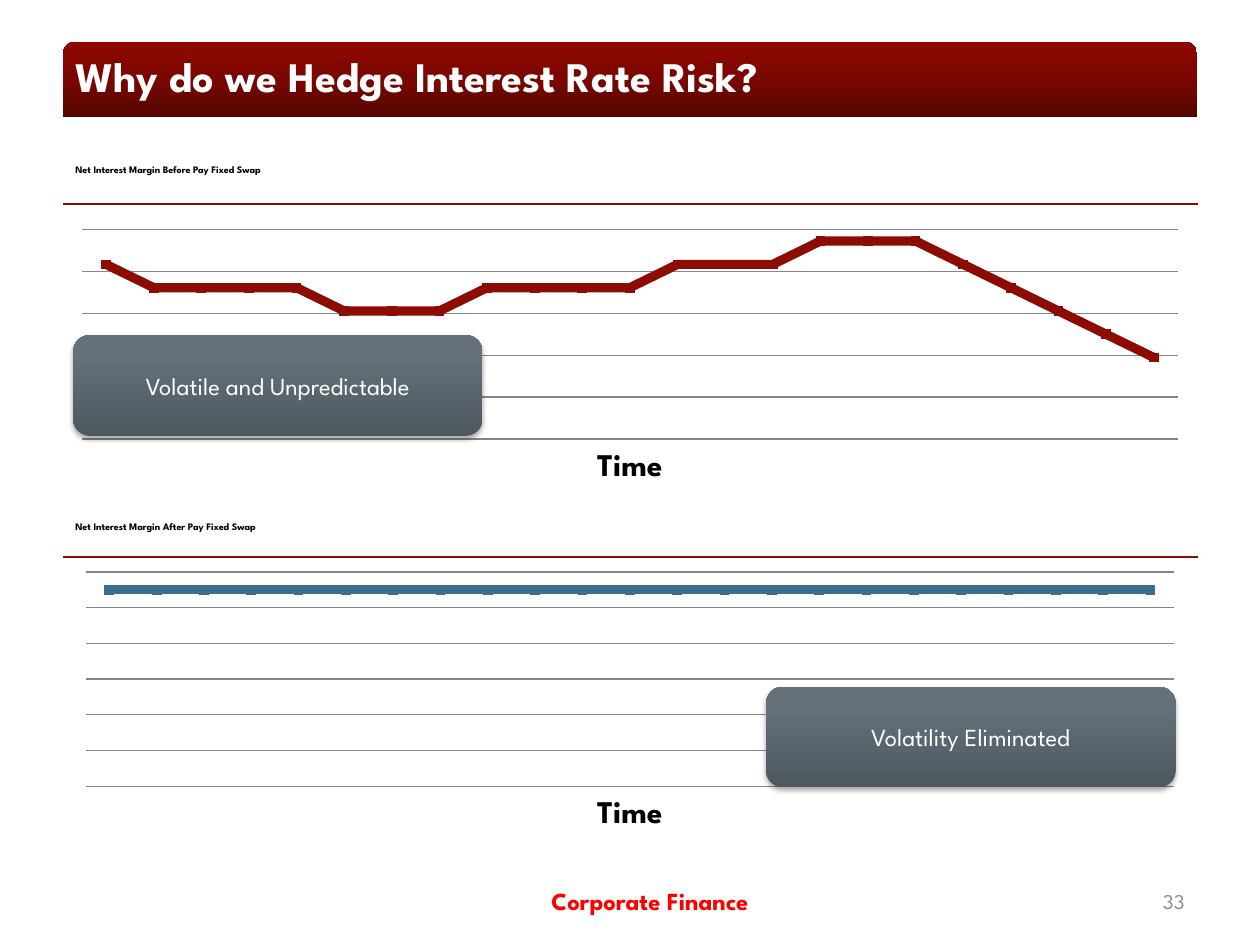
from copy import deepcopy

from pptx import Presentation
from pptx.chart.data import CategoryChartData
from pptx.dml.color import RGBColor
from pptx.enum.chart import XL_CHART_TYPE, XL_MARKER_STYLE
from pptx.enum.shapes import MSO_CONNECTOR, MSO_SHAPE
from pptx.enum.text import MSO_ANCHOR, PP_ALIGN
from pptx.oxml import parse_xml
from pptx.oxml.ns import nsdecls, qn
from pptx.oxml.xmlchemy import OxmlElement
from pptx.util import Inches, Pt

LINE_MARKERS = XL_CHART_TYPE.LINE_MARKERS
SQUARE = XL_MARKER_STYLE.SQUARE
STRAIGHT = MSO_CONNECTOR.STRAIGHT
ROUNDED = MSO_SHAPE.ROUNDED_RECTANGLE
ROUNDED_TOP = MSO_SHAPE.ROUND_2_SAME_RECTANGLE
TOP, MIDDLE = MSO_ANCHOR.TOP, MSO_ANCHOR.MIDDLE
LEFT, CENTER, RIGHT = PP_ALIGN.LEFT, PP_ALIGN.CENTER, PP_ALIGN.RIGHT

FONT = "League Spartan"
BLACK = RGBColor(0x00, 0x00, 0x00)
WHITE = RGBColor(0xFF, 0xFF, 0xFF)
RED = RGBColor(0xFF, 0x00, 0x00)
GRAY = RGBColor(0x8C, 0x8C, 0x8C)
GRID_GRAY = RGBColor(0x86, 0x86, 0x86)
MAROON = RGBColor(0x8C, 0x0C, 0x04)
BLUE = RGBColor(0x3B, 0x6E, 0x8F)
BAND_STOPS = [
    (0, RGBColor(0x55, 0x05, 0x00)),
    (0.5, RGBColor(0x79, 0x07, 0x00)),
    (1, RGBColor(0x90, 0x08, 0x00)),
]
CALLOUT_STOPS = [
    (0, RGBColor(0x4D, 0x57, 0x5E)),
    (0.8, RGBColor(0x64, 0x71, 0x7A)),
    (1, RGBColor(0x64, 0x71, 0x7B)),
]

PERCENT_FORMAT = '0.00%_);\\(0.00%\\);"–"_)'
MARGIN_BEFORE = [
    99, 98, 98, 98, 98, 97, 97, 97, 98, 98, 98, 98,
    99, 99, 99, 100, 100, 100, 99, 98, 97, 96, 95,
]
MARGIN_AFTER = [100] * len(MARGIN_BEFORE)


def write_text(frame, text, size, color, align, anchor, bold=False):
    frame.word_wrap = True
    frame.vertical_anchor = anchor
    para = frame.paragraphs[0]
    para.alignment = align
    span = para.add_run()
    span.text = text
    span.font.name = FONT
    span.font.size = Pt(size)
    span.font.bold = bold
    span.font.color.rgb = color


def add_label(page, box, *style, bold=False):
    label = page.shapes.add_textbox(*map(Inches, box))
    write_text(label.text_frame, *style, bold=bold)


def add_gradient_shape(page, kind, box, stops):
    shape = page.shapes.add_shape(kind, *map(Inches, box))
    shape.shadow.inherit = False
    shape.line.fill.background()
    shape.fill.gradient()
    shape.fill.gradient_angle = 90
    stop_list = shape._element.spPr.find(qn("a:gradFill")).find(qn("a:gsLst"))
    stop_list.insert(1, deepcopy(stop_list[0]))
    for stop, (position, color) in zip(shape.fill.gradient_stops, stops):
        stop.position = position
        stop.color.rgb = color
    return shape


def add_header(page, box):
    left, top, width, height = box
    add_gradient_shape(page, ROUNDED_TOP, (left, top + 0.03, width, height), BAND_STOPS)
    add_label(page, box, "Why do we Hedge Interest Rate Risk?", 24, WHITE, LEFT, MIDDLE, bold=True)


def add_footer(page, box):
    left, top, width, height = box
    add_label(page, (left + 2.16, top, 5, height), "Corporate Finance", 14, RED, CENTER, MIDDLE, bold=True)
    add_label(page, (left + width - 2.33, top, 2.33, height), "33", 12, GRAY, RIGHT, MIDDLE)


def add_callout(page, box, text):
    callout = add_gradient_shape(page, ROUNDED, box, CALLOUT_STOPS)
    callout._element.spPr.find(qn("a:effectLst")).append(parse_xml(
        f'<a:outerShdw {nsdecls("a")} blurRad="{Pt(3.1)}" dist="{Pt(1.8)}" dir="5400000" rotWithShape="0">'
        '<a:srgbClr val="000000"><a:alpha val="35000"/></a:srgbClr></a:outerShdw>'
    ))
    write_text(callout.text_frame, text, 14, WHITE, CENTER, MIDDLE)


def add_heading(page, box, text, rule_top):
    add_label(page, box, text, 5.7, BLACK, LEFT, TOP, bold=True)
    left, width = box[0], box[2]
    rule = page.shapes.add_connector(
        STRAIGHT, Inches(left), Inches(rule_top), Inches(left + width), Inches(rule_top)
    )
    rule.line.color.rgb = MAROON
    rule.line.width = Pt(1.5)
    rule._element.spPr.append(OxmlElement("a:effectLst"))


def set_plot_layout(plot_area, plot_box):
    layout = plot_area.find(qn("c:layout"))
    if layout is None:
        layout = OxmlElement("c:layout")
        plot_area.insert(0, layout)
    manual = OxmlElement("c:manualLayout")
    layout.append(manual)
    settings = [("layoutTarget", "inner"), ("xMode", "edge"), ("yMode", "edge")]
    for name, value in settings + list(zip("xywh", plot_box)):
        item = OxmlElement(f"c:{name}")
        item.set("val", str(value))
        manual.append(item)


def add_margin_chart(page, box, values, color, scale, plot_box):
    data = CategoryChartData()
    data.categories = [str(period) for period in range(1, len(values) + 1)]
    data.add_series("Series 1", values)
    chart = page.shapes.add_chart(LINE_MARKERS, *map(Inches, box), data).chart
    chart.has_legend = False
    chart.has_title = False
    chart.font.name = FONT
    chart.font.size = Pt(18)
    chart.font.color.rgb = BLACK

    value_axis = chart.value_axis
    value_axis.minimum_scale, value_axis.maximum_scale, value_axis.major_unit = scale
    value_axis.tick_labels.number_format = PERCENT_FORMAT
    value_axis.tick_labels.number_format_is_linked = False
    value_axis.major_gridlines.format.line.color.rgb = GRID_GRAY
    value_axis.major_gridlines.format.line.width = Pt(0.75)
    value_axis.visible = False

    time_axis = chart.category_axis
    write_text(time_axis.axis_title.text_frame, "Time", 18, BLACK, CENTER, MIDDLE, bold=True)
    time_axis.visible = False

    set_plot_layout(chart._chartSpace.chart.plotArea, plot_box)
    plot = chart.plots[0]
    plot.vary_by_categories = False
    series = plot.series[0]
    series.smooth = False
    series.format.line.color.rgb = color
    series.format.line.width = Pt(5.25)
    series.marker.style = SQUARE
    series.marker.size = 5
    series.marker.format.fill.solid()
    series.marker.format.fill.fore_color.rgb = color
    series.marker.format.line.color.rgb = color


def main():
    deck = Presentation()
    deck.slide_width, deck.slide_height = Inches(10), Inches(7.5)
    page = deck.slides.add_slide(deck.slide_layouts[6])
    add_header(page, (0.5, 0.3, 9, 0.6))
    add_footer(page, (0.5, 6.95, 9, 0.4))
    add_margin_chart(
        page, (0.5, 1.67, 9, 2.33), MARGIN_BEFORE, MAROON,
        (91.5, 100.5, 1.8), (0.017, 0.065, 0.966, 0.714),
    )
    add_margin_chart(
        page, (0.5, 4.5, 9, 2.33), MARGIN_AFTER, BLUE,
        (94.5, 100.5, 1), (0.02, 0.017, 0.96, 0.73),
    )
    add_heading(page, (0.5, 1.25, 9.01, 0.33), "Net Interest Margin Before Pay Fixed Swap", 1.62)
    add_heading(page, (0.5, 4.08, 9.01, 0.33), "Net Interest Margin After Pay Fixed Swap", 4.42)
    add_callout(page, (6.08, 5.45, 3.25, 0.8), "Volatility Eliminated")
    add_callout(page, (0.58, 2.66, 3.25, 0.8), "Volatile and Unpredictable")
    deck.save("out.pptx")


if __name__ == "__main__":
    main()
